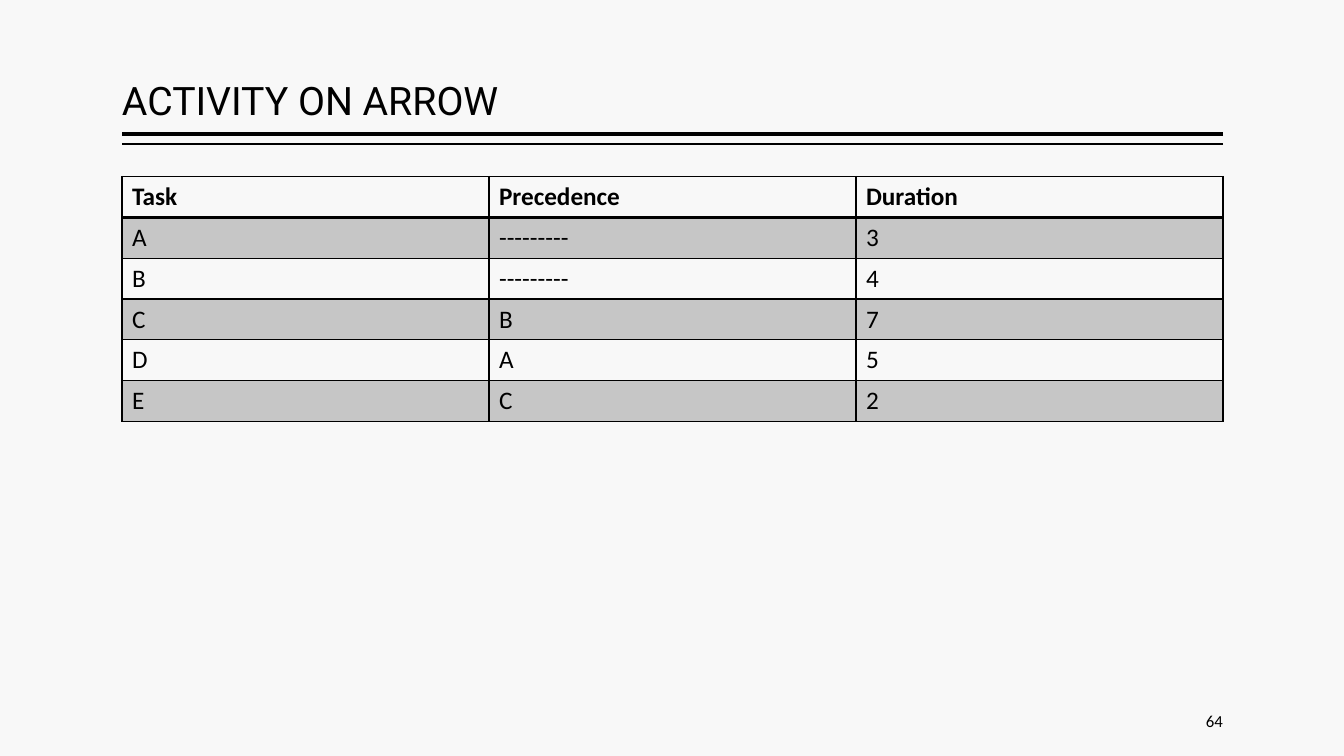
import pptx
import pptx.dml.color
import pptx.enum.shapes
import pptx.enum.text
import pptx.oxml.ns
import pptx.util
from lxml import etree

TITLE = "ACTIVITY ON ARROW"
PAGE_NUMBER = "64"
TASKS = [
    ("Task", "Precedence", "Duration"),
    ("A", "---------", "3"),
    ("B", "---------", "4"),
    ("C", "B", "7"),
    ("D", "A", "5"),
    ("E", "C", "2"),
]
COLORS = {"page": "F8F8F8", "ink": "000000"}
BAND_OPACITY = 20  # percent

WIDTH, HEIGHT = 13.33, 7.5
LEFT, CONTENT_WIDTH = 1.21, 10.92
RIGHT = LEFT + CONTENT_WIDTH
RULES = [(1.33, 3), (1.43, 1)]  # height on the page, line width
TABLE_TOP, ROW_HEIGHT = 1.75, 0.405
NUMBER_WIDTH = 2

inches = pptx.util.Inches
align = pptx.enum.text.PP_ALIGN
anchor = pptx.enum.text.MSO_ANCHOR


def color(name):
    return pptx.dml.color.RGBColor.from_string(COLORS[name])


def add_run(para, text, font, size, bold=False):
    span = para.add_run()
    span.text = text
    span.font.name = font
    span.font.size = pptx.util.Pt(size)
    span.font.bold = bold
    span.font.color.rgb = color("ink")


def set_frame(frame, vertical):
    """Wrap the text, without side margins."""
    frame.word_wrap = True
    frame.auto_size = pptx.enum.text.MSO_AUTO_SIZE.NONE
    frame.vertical_anchor = vertical
    frame.margin_left = frame.margin_right = 0
    frame.margin_top = frame.margin_bottom = inches(0.05)


def add_child(parent, tag, **attributes):
    return etree.SubElement(parent, pptx.oxml.ns.qn(tag), **attributes)


def set_borders(cell, top, bottom):
    properties = cell._tc.get_or_add_tcPr()
    for side, points in (("L", 1), ("R", 1), ("T", top), ("B", bottom)):
        line = add_child(properties, f"a:ln{side}", w=str(pptx.util.Pt(points)))
        add_child(add_child(line, "a:solidFill"), "a:srgbClr", val=COLORS["ink"])


def fill_band(cell):
    cell.fill.solid()
    cell.fill.fore_color.rgb = color("ink")
    ink = cell._tc.tcPr.find(".//" + pptx.oxml.ns.qn("a:solidFill") + "[last()]")
    ink = cell._tc.tcPr.findall(pptx.oxml.ns.qn("a:solidFill"))[0][0]
    add_child(ink, "a:alpha", val=str(BAND_OPACITY * 1000))


def add_rules(page):
    for top, points in RULES:
        rule = page.shapes.add_connector(
            pptx.enum.shapes.MSO_CONNECTOR.STRAIGHT,
            inches(RIGHT), inches(top), inches(LEFT), inches(top))
        rule.line.color.rgb = color("ink")
        rule.line.width = pptx.util.Pt(points)
        add_child(rule._element.spPr, "a:effectLst")


def add_title(page):
    title = page.shapes.title
    title.left, title.top = inches(LEFT), inches(0.08)
    title.width, title.height = inches(CONTENT_WIDTH), inches(1.2)
    set_frame(title.text_frame, anchor.BOTTOM)
    para = title.text_frame.paragraphs[0]
    para.alignment = align.LEFT
    para.line_spacing = 0.9
    add_run(para, TITLE, "Roboto", 28)


def add_task_table(page):
    table = page.shapes.add_table(
        len(TASKS), len(TASKS[0]), inches(LEFT), inches(TABLE_TOP),
        inches(CONTENT_WIDTH), inches(ROW_HEIGHT * len(TASKS))).table
    table.horz_banding = False
    for row, values in enumerate(TASKS):
        for column, value in enumerate(values):
            cell = table.cell(row, column)
            add_run(cell.text_frame.paragraphs[0], value, "Calibri", 18, row == 0)
            set_borders(cell, 2 if row == 1 else 1, 2 if row == 0 else 1)
            if row % 2:
                fill_band(cell)
            else:
                cell.fill.background()


def add_page_number(page):
    box = page.shapes.add_textbox(
        inches(RIGHT - NUMBER_WIDTH), inches(6.95), inches(NUMBER_WIDTH), inches(0.4))
    set_frame(box.text_frame, anchor.MIDDLE)
    para = box.text_frame.paragraphs[0]
    para.alignment = align.RIGHT
    add_run(para, PAGE_NUMBER, "Calibri", 12)


def main():
    deck = pptx.Presentation()
    deck.slide_width, deck.slide_height = inches(WIDTH), inches(HEIGHT)
    page = deck.slides.add_slide(deck.slide_layouts.get_by_name("Title Only"))
    page.background.fill.solid()
    page.background.fill.fore_color.rgb = color("page")
    add_rules(page)
    add_title(page)
    add_task_table(page)
    add_page_number(page)
    deck.save("out.pptx")


if __name__ == "__main__":
    main()
